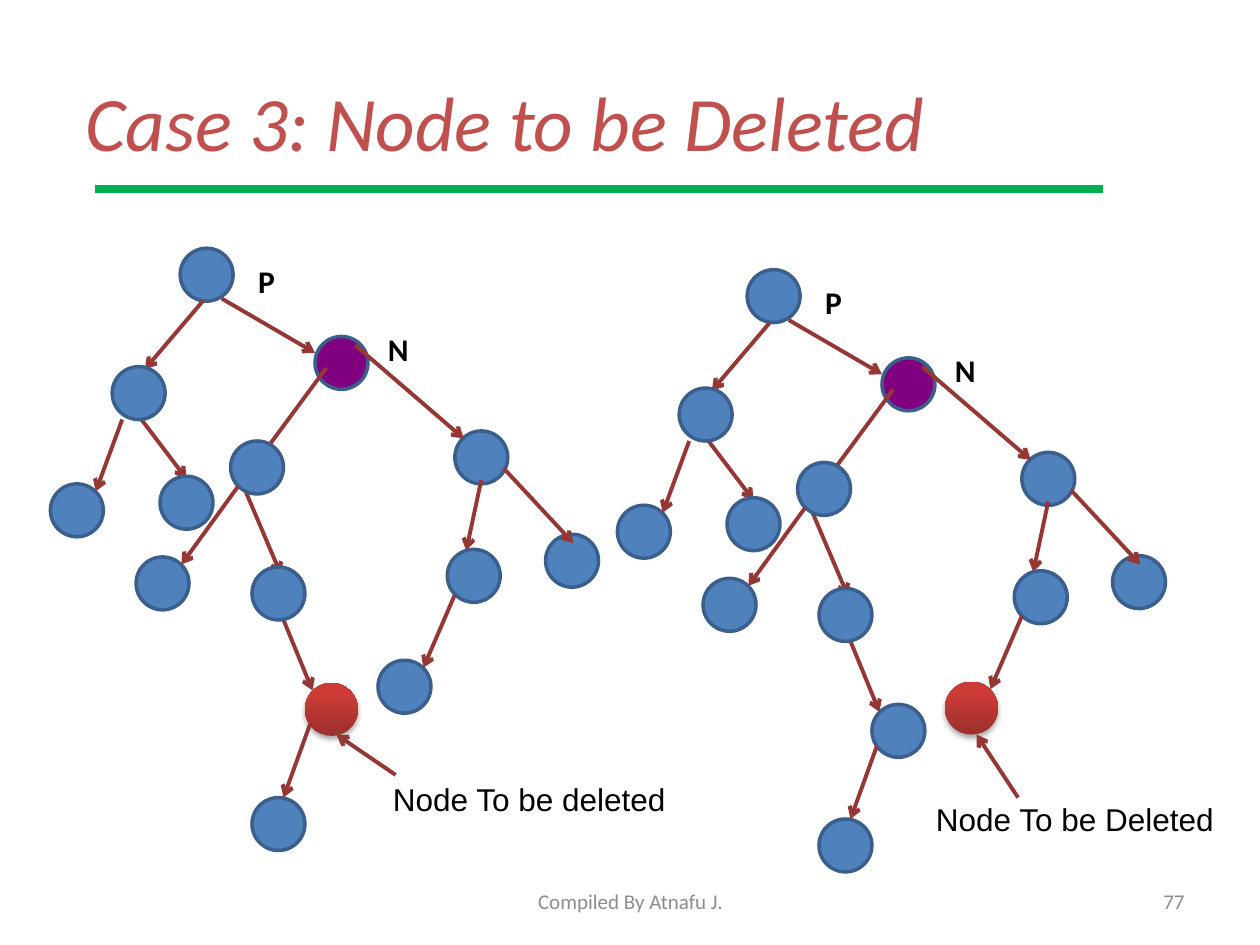
from dataclasses import dataclass
from typing import Union

from lxml.etree import SubElement
from pptx import Presentation
from pptx.dml.color import RGBColor
from pptx.enum.shapes import MSO_CONNECTOR as CONN, MSO_SHAPE as SHAPE
from pptx.enum.text import MSO_ANCHOR as ANCHOR, PP_ALIGN as ALIGN
from pptx.oxml.ns import qn
from pptx.util import Pt

SCALE = 9144  # EMU in one px, 100 px to the inch
DIAMETER = 42
BLUE, PURPLE, OUTLINE, ARROW = "4F81BD", "800080", "3A5F8C", "953735"
RED_DARK, RED_LIGHT = "9C2F2D", "CE3B37"
GREEN, TITLE_RED, GREY, BLACK = "00B050", "C0504D", "8C8C8C", "000000"


@dataclass(frozen=True)
class Node:
    x: int
    y: int
    name: str = ""
    fill: str = BLUE


@dataclass(frozen=True)
class Edge:
    x1: int
    y1: int
    x2: int
    y2: int


@dataclass(frozen=True)
class Tree:
    dx: int
    dy: int
    target: str
    pointer: Edge
    caption: str
    caption_x: int
    caption_y: int


# Nodes and arrows of one tree, from back to front
PARTS: tuple[Union[Node, Edge], ...] = (
    Node(143, 197),
    Edge(161, 239, 115, 293),
    Edge(176, 237, 250, 280),
    Node(250, 267, fill=PURPLE),
    Edge(259, 292, 208, 361),
    Edge(107, 326, 148, 380),
    Node(127, 378),
    Node(89, 291),
    Node(40, 384),
    Edge(97, 333, 76, 390),
    Edge(192, 383, 223, 456),
    Node(108, 442),
    Node(361, 342),
    Node(433, 424),
    Edge(382, 381, 370, 437),
    Edge(282, 274, 368, 348),
    Node(355, 436),
    Node(183, 350),
    Edge(400, 372, 455, 431),
    Node(242, 542, "predecessor"),
    Node(200, 633),
    Edge(246, 575, 225, 633),
    Edge(225, 492, 248, 548),
    Node(200, 450),
    Edge(189, 386, 144, 448),
    Node(300, 524, "successor"),
    Edge(361, 472, 336, 530),
)

TREES = (
    Tree(0, 0, "predecessor", Edge(314, 615, 267, 583), "Node To be deleted", 302, 614),
    Tree(450, 17, "successor", Edge(808, 633, 775, 583), "Node To be Deleted", 733, 630),
)

prs = Presentation()
prs.slide_width, prs.slide_height = 1000 * SCALE, 750 * SCALE
s = prs.slides.add_slide(prs.slide_layouts[6])


def px(*lengths: int) -> list[int]:
    return [n * SCALE for n in lengths]


def color(code: str) -> RGBColor:
    return RGBColor.from_string(code)


def add_text(text: str, box: tuple[int, int, int, int], size: int, code: str,
             font: str = "Calibri", wrap: bool = True, anchor: ANCHOR = ANCHOR.TOP,
             align: ALIGN = ALIGN.LEFT, **style: bool) -> None:
    tf = s.shapes.add_textbox(*px(*box)).text_frame
    tf.word_wrap, tf.vertical_anchor = wrap, anchor
    p = tf.paragraphs[0]
    p.alignment = align
    r = p.add_run()
    r.text = text
    for key, value in {"name": font, "size": Pt(size), **style}.items():
        setattr(r.font, key, value)
    r.font.color.rgb = color(code)


def add_line(edge: Edge, code: str = ARROW, width: float = 2.25, head: bool = True) -> None:
    line = s.shapes.add_connector(CONN.STRAIGHT, *px(edge.x1, edge.y1, edge.x2, edge.y2))
    line.line.color.rgb = color(code)
    line.line.width = Pt(width)
    if head:
        SubElement(line.line._get_or_add_ln(), qn("a:tailEnd"), type="arrow")
    SubElement(line._element.spPr, qn("a:effectLst"))


def add_shadow(sp) -> None:
    effects = sp._element.spPr.find(qn("a:effectLst"))
    shadow = SubElement(effects, qn("a:outerShdw"), blurRad="40000", dist="23000",
                        dir="5400000", rotWithShape="0")
    black = SubElement(shadow, qn("a:srgbClr"), val=BLACK)
    SubElement(black, qn("a:alpha"), val="35000")


def add_node(x: int, y: int, fill: str, is_target: bool) -> None:
    sp = s.shapes.add_shape(SHAPE.OVAL, *px(x, y, DIAMETER, DIAMETER))
    sp.shadow.inherit = False
    if is_target:
        sp.fill.gradient()
        sp.fill.gradient_angle = 90
        for stop, (code, position) in zip(sp.fill.gradient_stops,
                                          ((RED_DARK, 0), (RED_LIGHT, 0.8))):
            stop.color.rgb = color(code)
            stop.position = position
        sp.line.fill.background()
        add_shadow(sp)
    else:
        sp.fill.solid()
        sp.fill.fore_color.rgb = color(fill)
        sp.line.color.rgb = color(OUTLINE)
        sp.line.width = Pt(2)


def add_tree(tree: Tree) -> None:
    dx, dy = tree.dx, tree.dy
    for part in PARTS:
        if isinstance(part, Node):
            add_node(part.x + dx, part.y + dy, part.fill, part.name == tree.target)
        else:
            add_line(Edge(part.x1 + dx, part.y1 + dy, part.x2 + dx, part.y2 + dy))
    for label, x, y in (("P", 195, 203), ("N", 298, 257)):
        add_text(label, (x + dx, y + dy, 38, 40), 18, BLACK, wrap=False, bold=True)
    add_line(tree.pointer)
    add_text(tree.caption, (tree.caption_x, tree.caption_y, 248, 40), 18, BLACK, font="Arial")


# Title and rule
add_text("Case 3: Node to be Deleted", (58, 33, 900, 125), 44, TITLE_RED,
         anchor=ANCHOR.MIDDLE, italic=True)
add_line(Edge(75, 150, 875, 150), GREEN, 4.25, head=False)

# Trees
for tree in TREES:
    add_tree(tree)

# Footer and page number
for text, box, align in (("Compiled By Atnafu J.", (342, 695, 317, 40), ALIGN.CENTER),
                         ("77", (717, 695, 233, 40), ALIGN.RIGHT)):
    add_text(text, box, 12, GREY, anchor=ANCHOR.MIDDLE, align=align)

prs.save("out.pptx")
